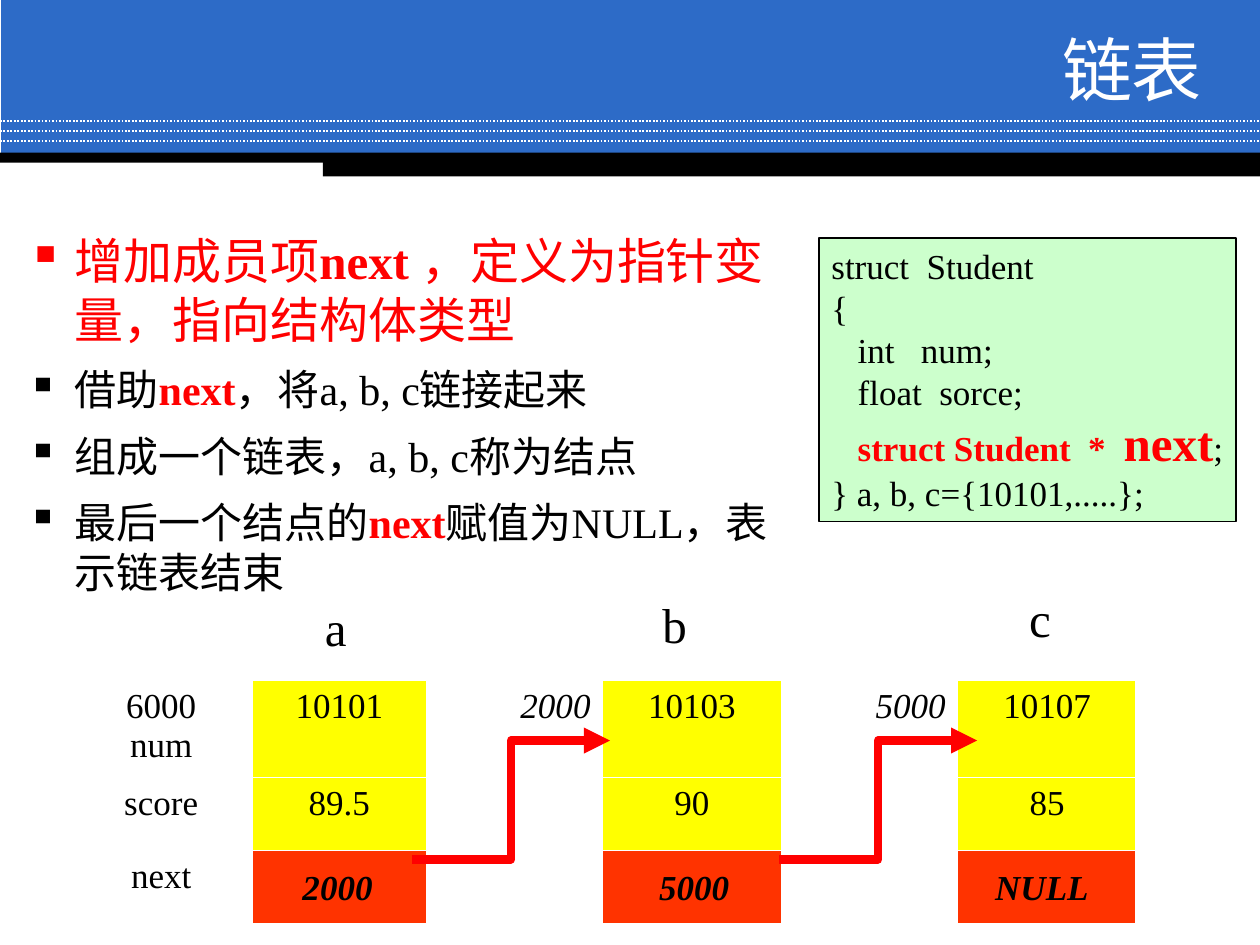
from lxml import etree
from pptx import Presentation
from pptx.dml.color import RGBColor
from pptx.enum import dml, shapes, text
from pptx.oxml import ns
from pptx.util import Pt

BLUE = RGBColor(0x2D, 0x6B, 0xC7)
BLACK = RGBColor(0, 0, 0)
WHITE = RGBColor(255, 255, 255)
RED = RGBColor(255, 0, 0)
ORANGE = RGBColor(0xFF, 0x33, 0)
YELLOW = RGBColor(255, 255, 0)
GREEN = RGBColor(0xCC, 0xFF, 0xCC)
BODY = {"name": "Times New Roman", "size": Pt(20), "color": BLACK}
KEY = {"color": RED, "bold": True}


def write(paragraph, parts, **base):
    for words, extra in parts:
        run = paragraph.add_run()
        run.text = words
        for name, value in {**BODY, **base, **extra}.items():
            if name == "color":
                run.font.color.rgb = value
            else:
                setattr(run.font, name, value)


def add_node(parent, tag, **attributes):
    return etree.SubElement(parent, ns.qn(tag), attributes)


presentation = Presentation()
presentation.slide_width, presentation.slide_height = Pt(720), Pt(540)
slide = presentation.slides.add_slide(presentation.slide_layouts[5])

for left, top, width, height, color in [
    (0.72, 0, 719.28, 88.5, BLUE),
    (0, 87.2, 720, 5.8, BLACK),
    (184.5, 89.3, 535.5, 11.5, BLACK),
]:
    band = slide.shapes.add_shape(
        shapes.MSO_SHAPE.RECTANGLE, Pt(left), Pt(top), Pt(width), Pt(height))
    band.shadow.inherit = False
    band.fill.solid()
    band.fill.fore_color.rgb = color
    band.line.fill.background()

for row in range(3):
    height = Pt(69.2 + 5.75 * row)
    rule = slide.shapes.add_connector(
        shapes.MSO_CONNECTOR.STRAIGHT, 0, height, Pt(720), height)
    rule.line.color.rgb = WHITE
    rule.line.width = Pt(1)
    rule.line.dash_style = dml.MSO_LINE.ROUND_DOT
    add_node(rule._element.spPr, "a:effectLst")

title = slide.shapes.title
title._element.getparent().append(title._element)
title.left, title.top, title.width, title.height = Pt(196), Pt(18), Pt(498), Pt(42)
title.text_frame.vertical_anchor = text.MSO_ANCHOR.MIDDLE
title.text_frame.paragraphs[0].alignment = text.PP_ALIGN.RIGHT
write(title.text_frame.paragraphs[0], [("链表", {})],
      name="Arial", size=Pt(40), color=WHITE)

bullets = [
    (28, RED, [("增加成员项", {}), ("next ", KEY), ("，定义为指针变量，指向结构体类型", {})]),
    (24, BLACK, [("借助", {}), ("next", KEY), ("，将a, b, c链接起来", {})]),
    (24, BLACK, [("组成一个链表，a, b, c称为结点", {})]),
    (24, BLACK, [("最后一个结点的", {}), ("next", KEY), ("赋值为NULL，表示链表结束", {})]),
]
points = slide.shapes.add_textbox(Pt(8.6), Pt(128.2), Pt(442), Pt(170.6))
frame = points.text_frame
frame.word_wrap = True
for index, (size, color, parts) in enumerate(bullets):
    paragraph = frame.add_paragraph() if index else frame.paragraphs[0]
    paragraph.space_before = Pt(9 if index else 0)
    properties = paragraph._p.get_or_add_pPr()
    properties.set("marL", str(Pt(27)))
    properties.set("indent", str(-Pt(27)))
    add_node(properties, "a:buChar", char="▪")
    write(paragraph, parts, size=Pt(size), color=color)

rows = [
    ["6000\nnum", "10101", "2000", "10103", "5000", "10107"],
    ["score", "89.5", "", "90", "", "85"],
    ["next", "", "", "", "", ""],
]
table = slide.shapes.add_table(
    3, 6, Pt(39.6), Pt(389), Pt(609.8), Pt(135.4)).table
table.first_row = table.horz_banding = False
for column, width in zip(table.columns, [105, 98.6] + [101.5] * 4):
    column.width = Pt(width)
for row, height in zip(table.rows, [51.8, 41.8, 41.8]):
    row.height = Pt(height)
for row, values in enumerate(rows):
    for column, value in enumerate(values):
        cell = table.cell(row, column)
        address = column in (2, 4)
        for index, line in enumerate(value.split("\n") if value else []):
            frame = cell.text_frame
            paragraph = frame.add_paragraph() if index else frame.paragraphs[0]
            paragraph.alignment = (
                text.PP_ALIGN.RIGHT if address else text.PP_ALIGN.CENTER)
            write(paragraph, [(line, {"italic": address})])
        is_node = column % 2 == 1
        properties = cell._tc.get_or_add_tcPr()
        for side in ("L", "R", "T", "B"):
            border = add_node(properties, "a:ln" + side, w=str(Pt(1)))
            if is_node and (side in "TB" or side == "R" and column == 5):
                fill = add_node(border, "a:solidFill")
                add_node(fill, "a:srgbClr", val=str(WHITE))
            else:
                add_node(border, "a:noFill")
        if is_node:
            cell.fill.solid()
            cell.fill.fore_color.rgb = ORANGE if row == 2 else YELLOW
        else:
            cell.fill.background()

for left in (235.4, 445.2):
    link = slide.shapes.add_connector(
        shapes.MSO_CONNECTOR.ELBOW, Pt(left), Pt(491), Pt(left + 113.2), Pt(423.2))
    link.line.color.rgb = RED
    link.line.width = Pt(5)
    add_node(link.line._get_or_add_ln(), "a:tailEnd", type="triangle")
    add_node(link._element.spPr, "a:effectLst")

NAME = {"size": Pt(28)}
POINTER = {"bold": True, "italic": True}
for words, left, top, width, height, style in [
    ("a", 178.6, 337.7, 28, 41, NAME),
    ("b", 371.5, 336.2, 28, 41, NAME),
    ("c", 581, 332.6, 28, 41, NAME),
    ("2000", 156.2, 491, 73.4, 31.7, POINTER),
    ("5000", 360, 491, 73.4, 31.7, POINTER),
    ("NULL", 558.7, 491, 73.4, 31.7, POINTER),
]:
    label = slide.shapes.add_textbox(Pt(left), Pt(top), Pt(width), Pt(height))
    label.text_frame.word_wrap = style is POINTER
    paragraph = label.text_frame.paragraphs[0]
    paragraph.alignment = text.PP_ALIGN.CENTER if style is POINTER else text.PP_ALIGN.LEFT
    write(paragraph, [(words, style)])

code = [
    [("struct  Student", {})],
    [("{", {})],
    [("   int   num;", {})],
    [("   float  sorce;", {})],
    [("   ", {}), ("struct Student  *  ", KEY),
     ("next", {**KEY, "size": Pt(28)}), (";", {})],
    [("} a, b, c={10101,.....};", {})],
]
code_box = slide.shapes.add_shape(
    shapes.MSO_SHAPE.RECTANGLE, Pt(468), Pt(136), Pt(238.3), Pt(162))
code_box.shadow.inherit = False
code_box.fill.solid()
code_box.fill.fore_color.rgb = GREEN
code_box.line.color.rgb = BLACK
code_box.line.width = Pt(0.75)
frame = code_box.text_frame
frame.word_wrap = False
frame.vertical_anchor = text.MSO_ANCHOR.TOP
for index, parts in enumerate(code):
    paragraph = frame.add_paragraph() if index else frame.paragraphs[0]
    paragraph.alignment = text.PP_ALIGN.LEFT
    write(paragraph, parts)

presentation.save("out.pptx")
